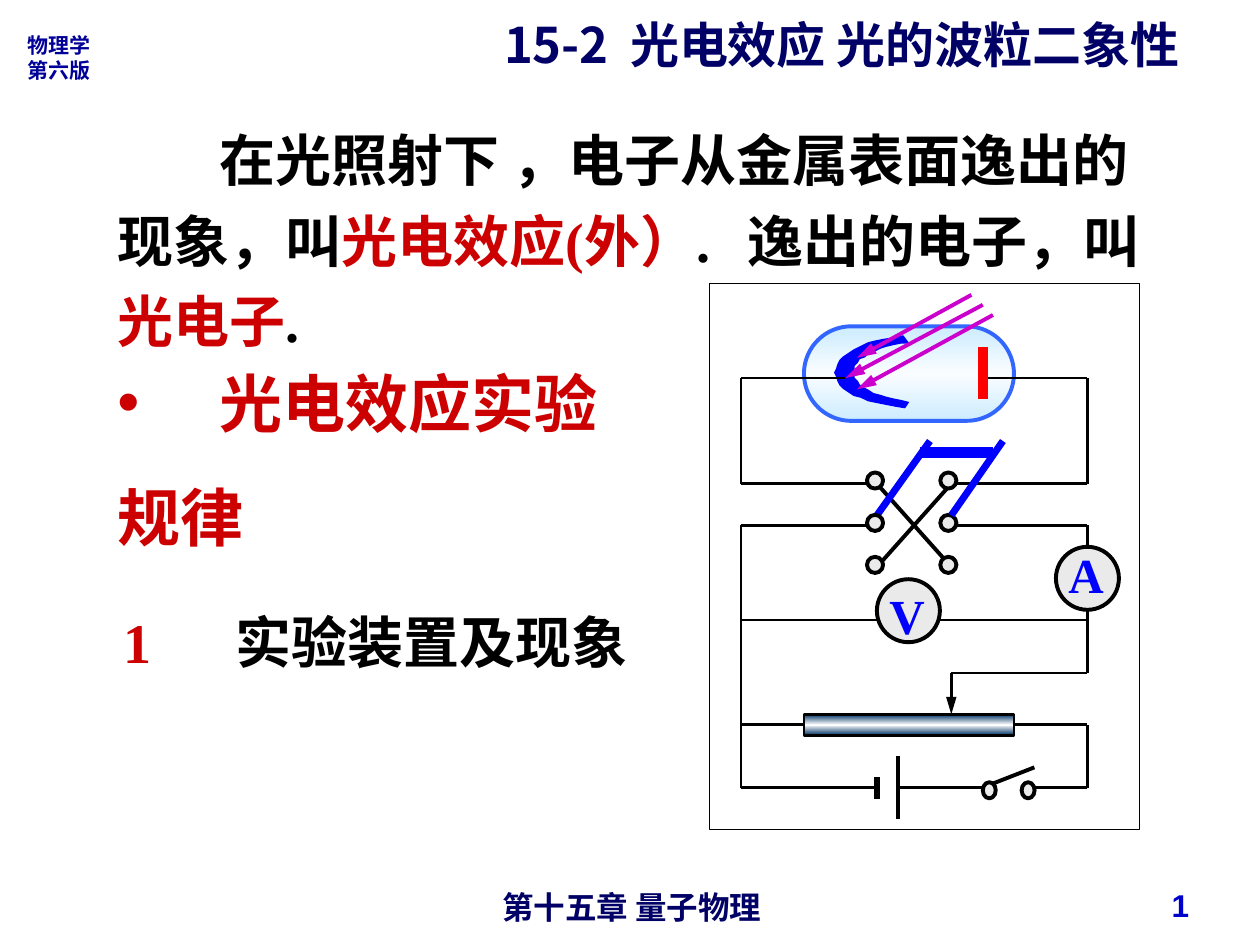
from dataclasses import dataclass
from itertools import pairwise

from lxml.etree import SubElement
from pptx import Presentation
from pptx.dml.color import RGBColor
from pptx.enum.shapes import MSO_CONNECTOR, MSO_SHAPE
from pptx.enum.text import MSO_ANCHOR, PP_ALIGN
from pptx.oxml.ns import qn
from pptx.util import Pt


@dataclass(frozen=True)
class Theme:
    sans: str = "Arial"
    cjk: str = "Noto Sans CJK SC"
    serif: str = "Times New Roman"
    navy: str = "000066"
    edition: str = "000099"
    number: str = "0000CC"
    key: str = "CC0000"
    ink: str = "000000"
    paper: str = "FFFFFF"
    blue: str = "0000FF"
    ray: str = "CC00CC"
    anode: str = "FF0000"
    metal: str = "EAEAEA"
    glass_edge: str = "3366FF"
    glass: tuple = ("CCECFF", "FAFDFF", "CCECFF")
    resistor: tuple = ("003366", "FFFFFF", "003366")
    tiny: int = 12
    small: int = 18
    title: int = 28
    body: int = 32
    heading: int = 36


T = Theme()

# Text boxes: place (left, top, width, height), font, size, colour, paragraphs of runs.
# A run is a string, or a (string, colour) pair.
INDENT = 58.5
TEXTS = [
    dict(at=(247, 504, 228, 21), font=T.sans, size=T.small, color=T.navy,
         align=PP_ALIGN.CENTER, paragraphs=[["第十五章 量子物理"]]),
    dict(at=(8.6, 15, 52, 36), font=T.cjk, size=T.tiny, color=T.edition,
         paragraphs=[["物理学"], ["第六版"]]),
    dict(at=(281, 5, 464, 41), font=T.cjk, size=T.title, color=T.navy,
         tab=79.5, paragraphs=[["15-2\t光电效应 光的波粒二象性"]]),
    dict(at=(60, 204.5, 564, 117), font=T.cjk, size=T.heading, color=T.key,
         before=22.5, margin=INDENT, indent=-INDENT, bullets="•",
         paragraphs=[["光电效应实验"], ["规律"]]),
    dict(at=(31, 343.5, 396, 46), font=T.serif, size=T.body, color=T.ink,
         margin=96.5, indent=-64, paragraphs=[[("1", T.key), "\t实验装置及现象"]]),
    dict(at=(60, 60.5, 612, 145), font=T.serif, size=T.body, color=T.ink,
         spacing=1.2, indent=INDENT, tab=393.5,
         paragraphs=[["在光照射下 ，电子从金属表面逸出的现象，叫", ("光电效应(外）", T.key),
                      ".\t逸出的电子，叫", ("光电子", T.key), "."]]),
    dict(at=(518.5, 502.5, 168, 29), font=T.sans, size=T.small, color=T.number,
         align=PP_ALIGN.RIGHT, anchor=MSO_ANCHOR.MIDDLE, paragraphs=[["1"]]),
]

# Circuit columns and rows
LEFT, TUBE_L, POLE_L, CELL, POLE_R, KEY, TUBE_R, KEY_END, RIGHT = (
    423.4, 459.4, 501.1, 513.4, 543.6, 561.6, 579.6, 591.1, 621.4)
TUBE, UPPER, LOWER, METER, SLIDER, RHEOSTAT, SUPPLY = (
    216, 276.4, 300.2, 354.2, 384.5, 414, 450)

FRAME = (405.4, 162, 246, 312)
GLASS_TUBE = (TUBE_L, 186.5, 120, 54)
RESISTOR = (TUBE_L, 408.2, 120, 12)

# Cathode outline: start, then cubic curves and straight steps
CATHODE_START = (519.1, 229.7)
CATHODE = [
    [(500.4, 227.5), (487.4, 220.3), (487.4, 212.4)],
    [(487.4, 205.2), (500.4, 198), (519.1, 195.8)],
    [(516.2, 192.2)],
    [(493.2, 194.4), (477.4, 203), (477.4, 213.1)],
    [(477.4, 222.5), (493.2, 230.4), (517, 233.3)],
]

WIRES = [
    [(POLE_L, UPPER), (LEFT, UPPER), (LEFT, TUBE), (483.1, TUBE)],
    [(KEY, TUBE), (RIGHT, TUBE), (RIGHT, UPPER), (POLE_R, UPPER)],
    [(POLE_L, LOWER), (LEFT, LOWER), (LEFT, SUPPLY), (POLE_L, SUPPLY)],
    [(POLE_R, LOWER), (RIGHT, LOWER), (RIGHT, SLIDER), (POLE_R, SLIDER)],
    [(LEFT, METER), (RIGHT, METER)],
    [(LEFT, RHEOSTAT), (TUBE_L, RHEOSTAT)],
    [(TUBE_R, RHEOSTAT), (RIGHT, RHEOSTAT), (RIGHT, SUPPLY), (KEY_END, SUPPLY)],
    [(CELL, SUPPLY), (KEY, SUPPLY)],
]
# Other strokes: points, colour, width, arrow at the end
STROKES = [
    ([(POLE_L, UPPER), (POLE_R, 324)], T.ink, 2.25, False),
    ([(POLE_R, UPPER), (POLE_L, 324)], T.ink, 2.25, False),
    ([(POLE_L, 294.5), (531.4, 252)], T.blue, 4, False),
    ([(POLE_R, SLIDER), (POLE_R, 408.2)], T.ink, 1.5, True),
    ([(POLE_L, 444.2), (POLE_L, 456.5)], T.ink, 3, False),
    ([(CELL, 432), (CELL, 468)], T.ink, 2.25, False),
    ([(KEY, SUPPLY), (KEY_END, 438.5)], T.ink, 2.25, False),
    ([(555.1, 168.5), (489.6, 204.5)], T.ray, 2.25, True),
    ([(561.6, 174.2), (483.1, 216)], T.ray, 2.25, True),
    ([(567.4, 180), (489.6, 222.5)], T.ray, 2.25, True),
]
FRONT_STROKES = [
    ([(POLE_R, 294.5), (573.1, 252)], T.blue, 4, False),
    ([(525.6, 258.5), (567.4, 258.5)], T.blue, 6, False),
    ([(KEY, 198), (KEY, 228)], T.anode, 6, False),
]
TERMINALS = [(x, y, 9.2, 9.2) for x in (495.4, 537.3) for y in (270, 294.2, 318.2)]
KEY_CONTACTS = [(x, 447, 7.4, 9.2) for x in (KEY, 583.8)]
METERS = [("V", (POLE_L, 331), (POLE_L, 331)), ("A", (603.4, 312.5), (603.4, 307.5))]


def rgb(color):
    return RGBColor.from_string(color)


def add_text(slide, at, font, size, color, paragraphs, align=PP_ALIGN.LEFT,
             anchor=MSO_ANCHOR.TOP, before=0, spacing=None, margin=0, indent=0,
             bullets="", tab=None):
    """Add a text box; bullets holds one mark for each leading bulleted paragraph."""
    frame = slide.shapes.add_textbox(*map(Pt, at)).text_frame
    frame.word_wrap, frame.vertical_anchor = True, anchor
    for i, runs in enumerate(paragraphs):
        p = frame.add_paragraph() if i else frame.paragraphs[0]
        p.alignment, p.space_before = align, Pt(before)
        if spacing:
            p.line_spacing = spacing
        p.font.name, p.font.size, p.font.bold = font, Pt(size), True
        p.font.color.rgb = rgb(color)
        for part in runs:
            words, tint = part if isinstance(part, tuple) else (part, None)
            run = p.add_run()
            run.text = words
            if tint:
                run.font.color.rgb = rgb(tint)
        props = p._p.get_or_add_pPr()
        props.set("marL", str(Pt(margin)))
        props.set("indent", str(Pt(indent)))
        if i < len(bullets):
            SubElement(props, qn("a:buFont"), typeface=T.sans)
            SubElement(props, qn("a:buChar"), char=bullets[i])
        if tab:
            stops = SubElement(props, qn("a:tabLst"))
            SubElement(stops, qn("a:tab"), pos=str(Pt(tab)), algn="l")
        props.append(props.find(qn("a:defRPr")))  # the schema wants it last


def style(shape, fill, line, width):
    """Fill with one colour, or with a vertical gradient when fill is a tuple."""
    shape.shadow.inherit = False
    if isinstance(fill, tuple):
        shape.fill.gradient()
        shape.fill.gradient_angle = 90
        stops = shape._element.spPr.find(".//" + qn("a:gsLst"))
        stops.clear()
        for i, color in enumerate(fill):
            stop = SubElement(stops, qn("a:gs"), pos=str(100000 * i // (len(fill) - 1)))
            SubElement(stop, qn("a:srgbClr"), val=color)
    else:
        shape.fill.solid()
        shape.fill.fore_color.rgb = rgb(fill)
    shape.line.color.rgb, shape.line.width = rgb(line), Pt(width)


def add_shape(slide, kind, at, fill, line=T.ink, width=2.25):
    shape = slide.shapes.add_shape(kind, *map(Pt, at))
    style(shape, fill, line, width)
    return shape


def add_stroke(slide, points, color=T.ink, width=1.5, arrow=False):
    for start, end in pairwise(points):
        stroke = slide.shapes.add_connector(MSO_CONNECTOR.STRAIGHT, *map(Pt, start + end))
        stroke.line.color.rgb, stroke.line.width = rgb(color), Pt(width)
        if arrow:
            SubElement(stroke.line._get_or_add_ln(), qn("a:tailEnd"),
                       type="triangle", w="med", len="lg")
        SubElement(stroke._element.spPr, qn("a:effectLst"))


def cubic(points, steps=12):
    """Sample a cubic Bezier curve, leaving out its start."""
    for t in (i / steps for i in range(1, steps + 1)):
        weights = ((1 - t) ** 3, 3 * t * (1 - t) ** 2, 3 * t * t * (1 - t), t ** 3)
        yield tuple(sum(w * c for w, c in zip(weights, axis)) for axis in zip(*points))


def add_cathode(slide):
    outline = [CATHODE_START]
    for step in CATHODE:
        outline += cubic([outline[-1], *step]) if len(step) == 3 else step
    builder = slide.shapes.build_freeform(*outline[0], scale=Pt(1))
    builder.add_line_segments(outline[1:], close=True)
    style(builder.convert_to_shape(), T.blue, T.blue, 0.75)


def add_circuit(slide):
    add_shape(slide, MSO_SHAPE.RECTANGLE, FRAME, T.paper, width=0.75)
    tube = add_shape(slide, MSO_SHAPE.ROUNDED_RECTANGLE, GLASS_TUBE, T.glass, T.glass_edge)
    tube.adjustments[0] = 0.5
    add_cathode(slide)
    add_shape(slide, MSO_SHAPE.RECTANGLE, RESISTOR, T.resistor, width=1.5)
    for wire in WIRES:
        add_stroke(slide, wire)
    for stroke in STROKES:
        add_stroke(slide, *stroke)
    for letter, disc, label in METERS:
        add_shape(slide, MSO_SHAPE.OVAL, (*disc, 36, 36), T.metal)
        add_text(slide, (*label, 42, 41), T.serif, T.title, T.blue, [[letter]])
    for contact in TERMINALS + KEY_CONTACTS:
        add_shape(slide, MSO_SHAPE.OVAL, contact, T.metal)
    for stroke in FRONT_STROKES:
        add_stroke(slide, *stroke)


def main():
    deck = Presentation()
    deck.slide_width, deck.slide_height = Pt(720), Pt(540)
    slide = deck.slides.add_slide(deck.slide_layouts[6])
    for text in TEXTS[:4]:
        add_text(slide, **text)
    add_circuit(slide)
    for text in TEXTS[4:]:
        add_text(slide, **text)
    deck.save("out.pptx")


if __name__ == "__main__":
    main()
